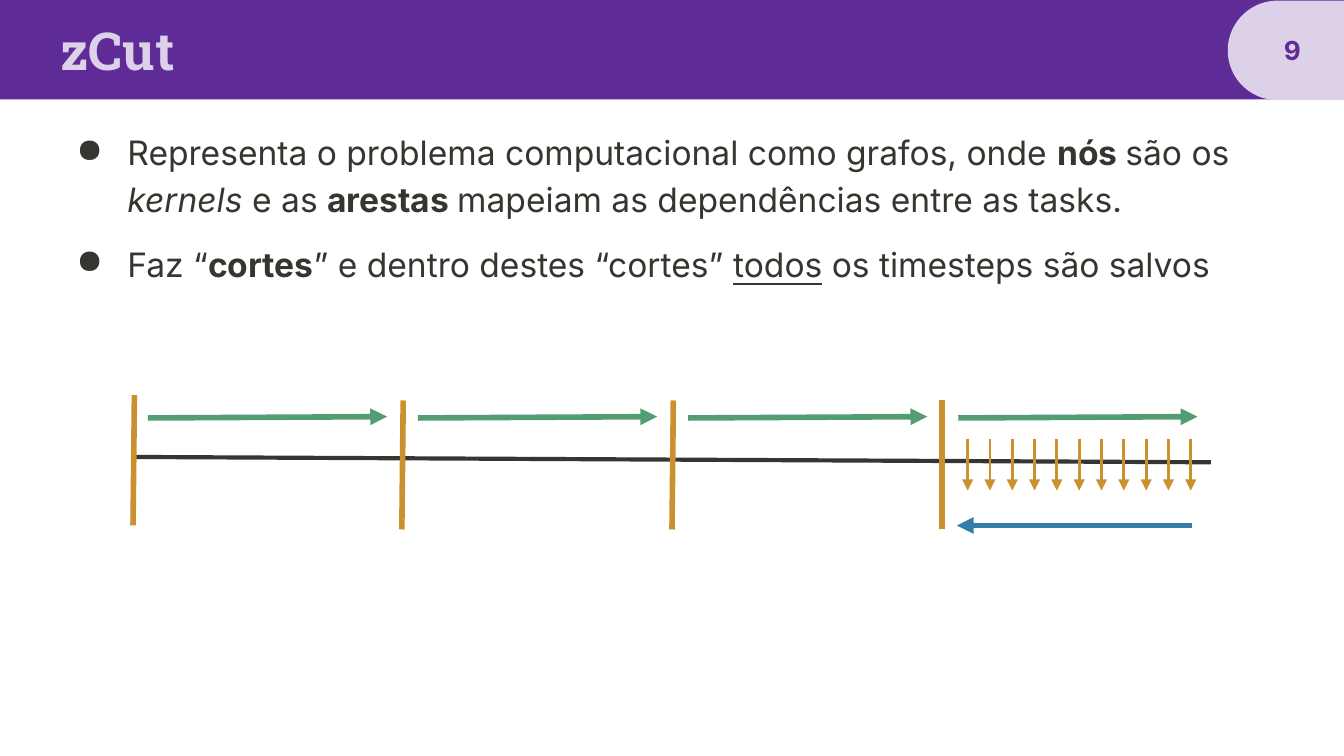
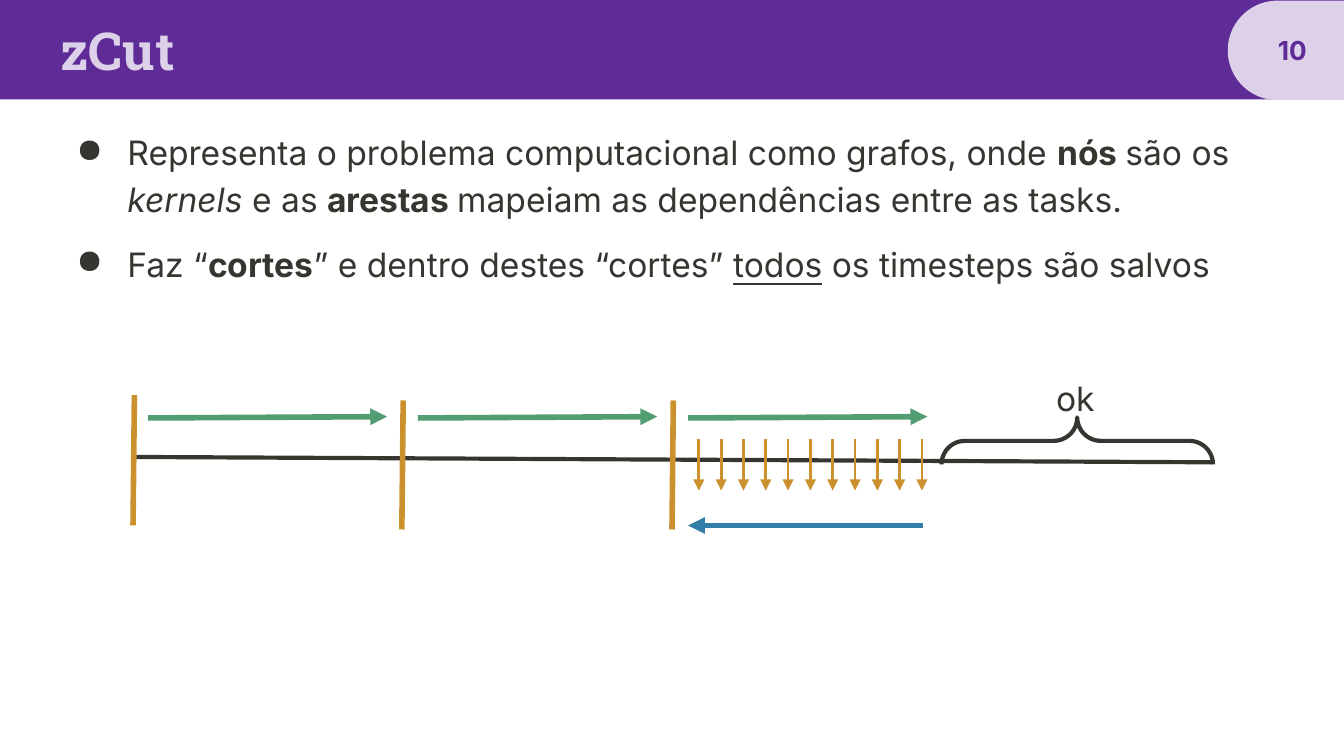
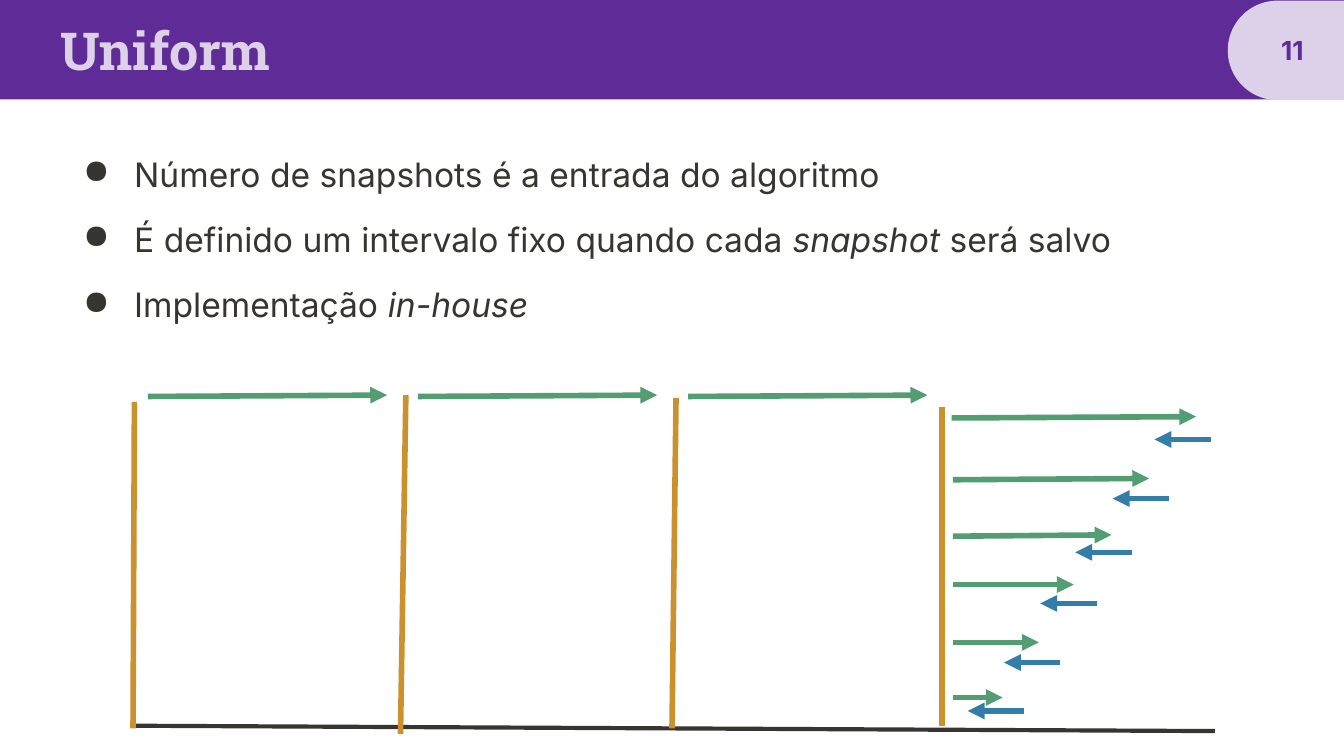
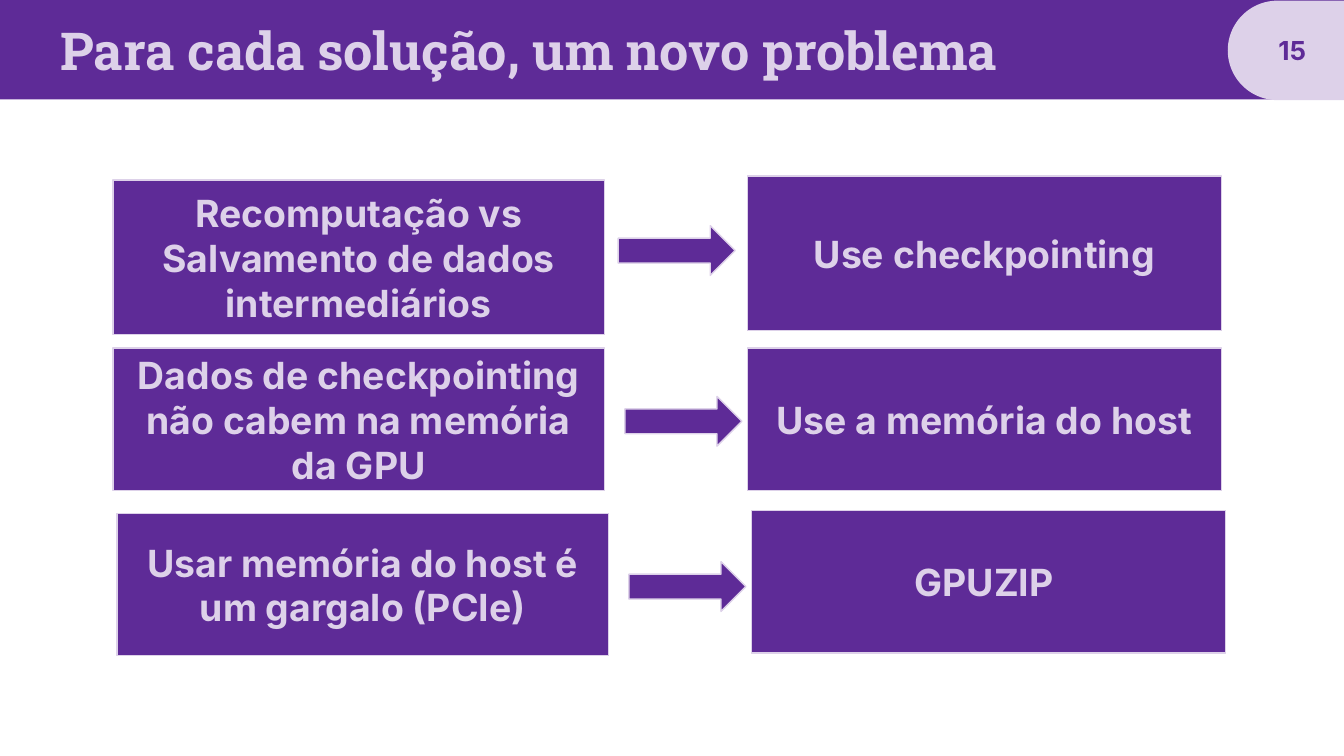
from dataclasses import dataclass

from lxml import etree
from pptx import Presentation
from pptx.dml.color import RGBColor
from pptx.enum.shapes import MSO_CONNECTOR, MSO_SHAPE
from pptx.enum.text import MSO_ANCHOR, PP_ALIGN
from pptx.oxml.ns import qn
from pptx.util import Inches, Pt

STRAIGHT = MSO_CONNECTOR.STRAIGHT
RECTANGLE, RIGHT_ARROW = MSO_SHAPE.RECTANGLE, MSO_SHAPE.RIGHT_ARROW
ROUND_TAB, BRACE = MSO_SHAPE.ROUND_2_SAME_RECTANGLE, MSO_SHAPE.RIGHT_BRACE
TOP, MIDDLE = MSO_ANCHOR.TOP, MSO_ANCHOR.MIDDLE
LEFT, CENTER = PP_ALIGN.LEFT, PP_ALIGN.CENTER


@dataclass(frozen=True)
class Theme:
    purple: str = "5E2B97"
    lilac: str = "DDD1E9"
    ink: str = "37352F"
    cut: str = "CB912F"
    forward: str = "529E72"
    backward: str = "337EA9"
    title_font: str = "Roboto Slab"
    body_font: str = "Inter"
    title_size: int = 28
    block_size: int = 20
    body_size: int = 18
    number_size: int = 14
    thick: float = 3
    axis: float = 2.25
    tick: float = 1.5
    outline: float = 0.75


THEME = Theme()

# Each bullet is a list of (text, style): b bold, i italic, u underlined
ZCUT_BULLETS = [
    [("Representa o problema computacional como grafos, onde ", ""),
     ("nós ", "b"), ("são os ", ""), ("kernels ", "i"), ("e as ", ""),
     ("arestas ", "b"), ("mapeiam as dependências entre as tasks.", "")],
    [("Faz “", ""), ("cortes", "b"), ("” e dentro destes “cortes” ", ""),
     ("todos", "u"), (" os timesteps são salvos", "")],
]
UNIFORM_BULLETS = [
    [("Número de snapshots é a entrada do algoritmo", "")],
    [("É definido um intervalo fixo quando cada ", ""), ("snapshot", "i"),
     (" será salvo", "")],
    [("Implementação ", ""), ("in-house", "i")],
]

SECTION_START, SECTION_PITCH = 1.1, 2.01
FORWARD_LENGTH = 1.78
TICK_COUNT, TICK_SPAN = 11, 1.66

# Lines are (x1, y1, x2, y2)
ZCUT_CUTS = [(1, 2.94, 0.99, 3.91), (3, 2.98, 2.99, 3.94),
             (5.01, 2.98, 5, 3.94), (7.01, 2.98, 7.01, 3.94)]
UNIFORM_CUTS = [(1, 2.99, 0.99, 5.42), (3.02, 2.94, 2.98, 5.46),
                (5.03, 2.96, 5, 5.42), (7.01, 3.03, 7.01, 5.4)]
RECOMPUTED = [(7.08, 3.11, 8.9, 3.1), (7.09, 3.57, 8.55, 3.56),
              (7.09, 3.99, 8.27, 3.98), (7.09, 4.35, 7.99, 4.35),
              (7.09, 4.78, 7.73, 4.78), (7.09, 5.19, 7.46, 5.19)]
BACKWARD_LENGTH = 0.42
BACKWARD_STARTS = [(9.01, 3.27), (8.7, 3.71), (8.42, 4.11),
                   (8.16, 4.49), (7.89, 4.93), (7.62, 5.29)]

# problem, solution, height, problem (x, y), arrow (x, y), solution (x, y)
PROBLEM_WIDTH, SOLUTION_WIDTH = 3.66, 3.53
SOLUTIONS = [
    ("Recomputação vs Salvamento de dados intermediários", "Use checkpointing",
     1.15, (0.84, 1.34), (4.6, 1.68), (5.56, 1.31)),
    ("Dados de checkpointing não cabem na memória da GPU",
     "Use a memória do host",
     1.06, (0.84, 2.59), (4.65, 2.95), (5.56, 2.59)),
    ("Usar memória do host é um gargalo (PCIe)", "GPUZIP ",
     1.06, (0.87, 3.82), (4.68, 4.18), (5.59, 3.8)),
]


def color(value):
    return RGBColor.from_string(value)


def style_font(font, size, ink, name=THEME.body_font, bold=False):
    font.name, font.size, font.bold = name, Pt(size), bold
    font.color.rgb = color(ink)


def prepare_frame(frame, anchor=TOP, left=0.1):
    frame.word_wrap = True
    frame.vertical_anchor = anchor
    frame.margin_left = Inches(left)
    frame.margin_right = frame.margin_top = frame.margin_bottom = Inches(0.1)


def write(frame, text, align, **font):
    frame.text = text
    para = frame.paragraphs[0]
    para.alignment = align
    style_font(para.runs[0].font, **font)


def add_label(page, at, text, anchor=TOP, left=0.1, align=LEFT, **font):
    box = page.shapes.add_textbox(*map(Inches, at))
    prepare_frame(box.text_frame, anchor, left)
    write(box.text_frame, text, align, **font)


def add_block(page, kind, at, fill=None, line=None, width=THEME.outline):
    block = page.shapes.add_shape(kind, *map(Inches, at))
    block.shadow.inherit = False
    if fill:
        block.fill.solid()
        block.fill.fore_color.rgb = color(fill)
    else:
        block.fill.background()
    if line:
        block.line.color.rgb = color(line)
        block.line.width = Pt(width)
    else:
        block.line.fill.background()
    return block


def add_line(page, ends, ink, width=THEME.thick, arrow=False):
    line = page.shapes.add_connector(STRAIGHT, *map(Inches, ends))
    line.line.color.rgb = color(ink)
    line.line.width = Pt(width)
    if arrow:
        etree.SubElement(line.line._ln, qn("a:tailEnd"), type="triangle")
    etree.SubElement(line._element.spPr, qn("a:effectLst"))


def add_bullet_mark(para):
    properties = para._p.get_or_add_pPr()
    properties.set("marL", str(Inches(0.5)))
    properties.set("indent", str(Inches(-0.38)))
    mark_color = etree.SubElement(properties, qn("a:buClr"))
    etree.SubElement(mark_color, qn("a:srgbClr"), val=THEME.ink)
    etree.SubElement(properties, qn("a:buChar"), char="●")


def add_bullets(page, at, bullets):
    frame = page.shapes.add_textbox(*map(Inches, at)).text_frame
    prepare_frame(frame)
    for index, spans in enumerate(bullets):
        para = frame.add_paragraph() if index else frame.paragraphs[0]
        add_bullet_mark(para)
        para.line_spacing = 1.15
        if index:
            para.space_before = Pt(10)
        for text, style in spans:
            span = para.add_run()
            span.text = text
            style_font(span.font, THEME.body_size, THEME.ink, bold="b" in style)
            span.font.italic = "i" in style
            span.font.underline = "u" in style


def add_page(deck, title, number):
    """Add a slide with the purple band, its title and the page number tab."""
    page = deck.slides.add_slide(deck.slide_layouts[6])
    add_block(page, RECTANGLE, (0, 0, 10, 0.74), THEME.purple)
    tab = add_block(page, ROUND_TAB, (9.2, -0.06, 0.74, 0.87), THEME.lilac)
    tab.adjustments[0], tab.adjustments[1] = 0, 0.5
    tab.rotation = 90
    add_label(page, (0, 0, 8.7, 0.74), title, MIDDLE, 0.45, bold=True,
              size=THEME.title_size, ink=THEME.lilac, name=THEME.title_font)
    add_label(page, (9.13, 0, 0.87, 0.74), str(number), MIDDLE, 0.2, CENTER,
              size=THEME.number_size, ink=THEME.purple, bold=True)
    return page


def add_forward_sections(page, count, y):
    for index in range(count):
        x = SECTION_START + index * SECTION_PITCH
        add_line(page, (x, y, x + FORWARD_LENGTH, y - 0.01), THEME.forward,
                 arrow=True)


def add_zcut_page(deck, number, sections, body_height):
    """Show the timeline with the last of the given sections being reversed."""
    page = add_page(deck, "zCut", number)
    add_bullets(page, (0.35, 0.84, 9.3, body_height), ZCUT_BULLETS)
    add_line(page, (0.99, 3.4, 9.01, 3.44), THEME.ink, THEME.axis)
    for cut in ZCUT_CUTS[:sections]:
        add_line(page, cut, THEME.cut)
    active = ZCUT_CUTS[sections - 1][0]
    for index in range(TICK_COUNT):
        x = active + 0.19 + index * TICK_SPAN / (TICK_COUNT - 1)
        add_line(page, (x, 3.27, x, 3.65), THEME.cut, THEME.tick, arrow=True)
    add_forward_sections(page, sections, 3.11)
    add_line(page, (active + 1.86, 3.91, active + 0.11, 3.91), THEME.backward,
             arrow=True)
    return page


def add_finished_section(page):
    brace = add_block(page, BRACE, (7.84, 2.27, 0.35, 2.02),
                      line=THEME.ink, width=THEME.axis)
    brace.adjustments[0] = brace.adjustments[1] = 0.5
    brace.rotation = 270
    add_label(page, (7.76, 2.71, 2.29, 0.5), "ok",
              size=THEME.body_size, ink=THEME.ink)


def add_uniform_page(deck):
    page = add_page(deck, "Uniform", 11)
    add_bullets(page, (0.4, 1, 9.25, 1.98), UNIFORM_BULLETS)
    add_line(page, (1.01, 5.4, 9.04, 5.44), THEME.ink, THEME.axis)
    for cut in UNIFORM_CUTS:
        add_line(page, cut, THEME.cut)
    add_forward_sections(page, 3, 2.95)
    for ends in RECOMPUTED:
        add_line(page, ends, THEME.forward, arrow=True)
    for x, y in BACKWARD_STARTS:
        add_line(page, (x, y, x - BACKWARD_LENGTH, y), THEME.backward,
                 arrow=True)


def add_solutions_page(deck):
    page = add_page(deck, "Para cada solução, um novo problema", 15)
    for problem, solution, height, left_at, arrow_at, right_at in SOLUTIONS:
        for text, at, width in ((problem, left_at, PROBLEM_WIDTH),
                                (solution, right_at, SOLUTION_WIDTH)):
            block = add_block(page, RECTANGLE, (*at, width, height),
                              THEME.purple, THEME.lilac)
            prepare_frame(block.text_frame, MIDDLE)
            write(block.text_frame, text, CENTER, size=THEME.block_size,
                  ink=THEME.lilac, bold=True)
        add_block(page, RIGHT_ARROW, (*arrow_at, 0.87, 0.37),
                  THEME.purple, THEME.lilac)


def main():
    deck = Presentation()
    deck.slide_width = Inches(10)
    deck.slide_height = Inches(10 * 9 / 16)
    add_zcut_page(deck, 9, sections=4, body_height=1.7)
    finished = add_zcut_page(deck, 10, sections=3, body_height=1.46)
    add_finished_section(finished)
    add_uniform_page(deck)
    add_solutions_page(deck)
    deck.save("out.pptx")


if __name__ == "__main__":
    main()
